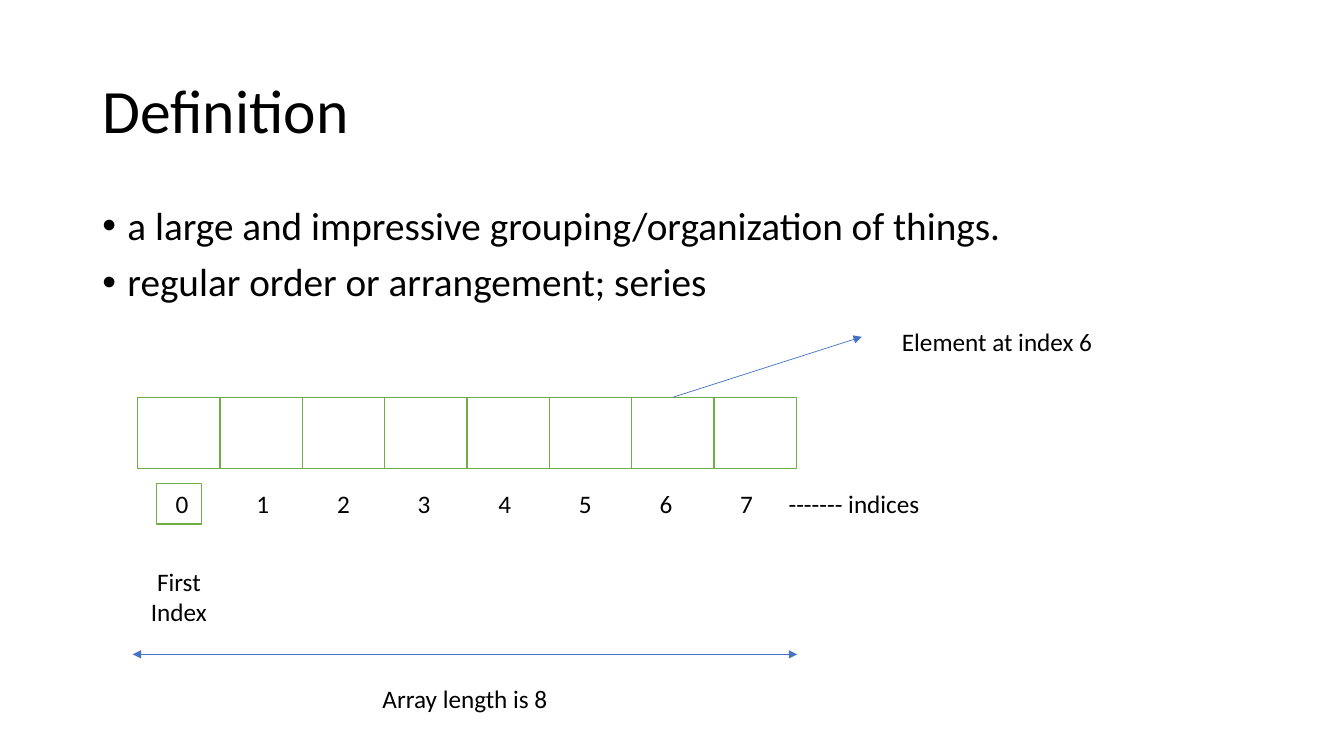
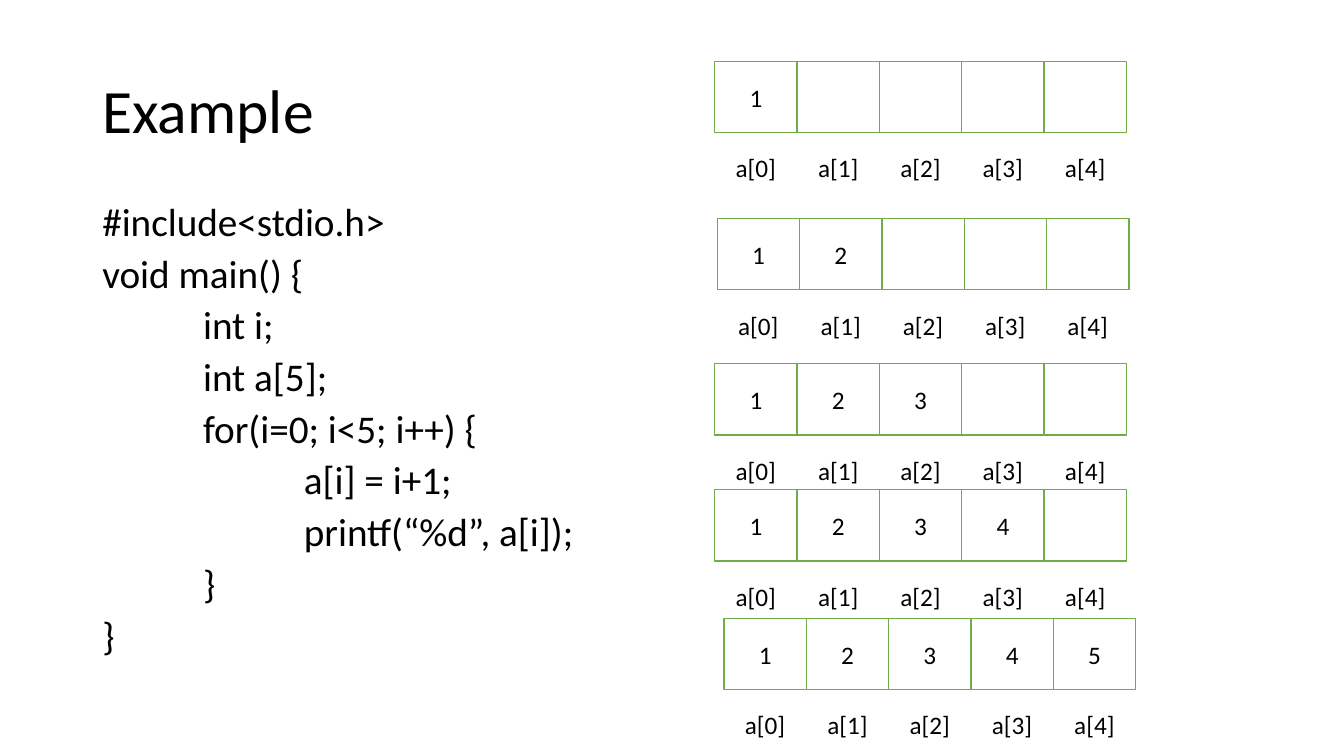
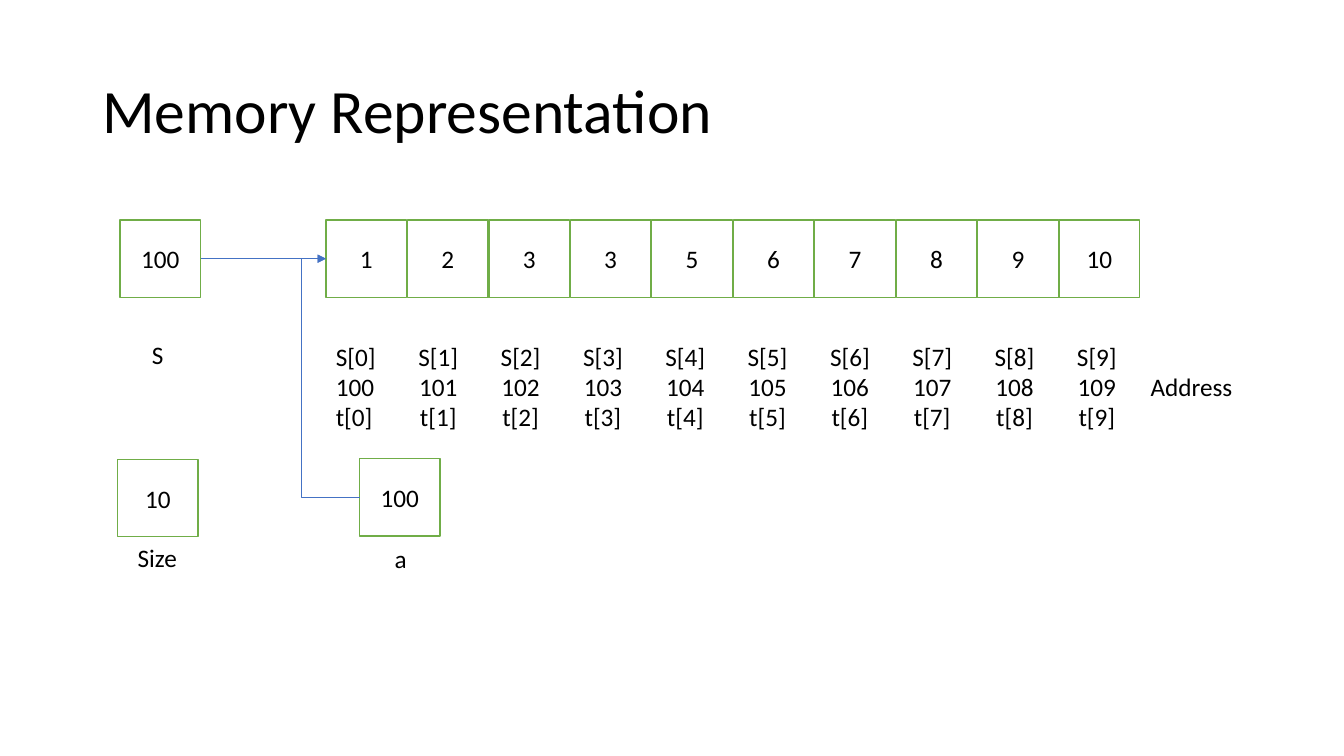
from dataclasses import dataclass

from lxml.etree import SubElement
from pptx import Presentation
from pptx.dml.color import RGBColor as Color
from pptx.enum.shapes import MSO_CONNECTOR as Connector, MSO_SHAPE as Preset
from pptx.enum.text import MSO_ANCHOR as Anchor, MSO_AUTO_SIZE as AutoSize, PP_ALIGN as Align
from pptx.oxml.ns import qn
from pptx.util import Inches, Pt


@dataclass(frozen=True)
class Theme:
    """Colours, type sizes and line widths shared by all slides."""
    font: str = "Calibri"
    ink: Color = Color(0x00, 0x00, 0x00)
    paper: Color = Color(0xFF, 0xFF, 0xFF)
    border: Color = Color(0x70, 0xAD, 0x47)
    arrow: Color = Color(0x44, 0x72, 0xC4)
    title: int = 44
    body: int = 28
    label: int = 18
    border_width: float = 1
    arrow_width: float = 0.5


THEME = Theme()
COLUMNS, ROWS = 16, 9
UNIT = Inches(7.5) / ROWS
LINE = 0.48
CELL = (0.98, 0.85)
MEMORY_CELL = (0.96, 0.92)
TITLE_AREA = (1.1, 0.48, 13.8, 1.74)
BODY_AREA = (1.1, 2.4, 13.8, 5.88)


def grid(*counts):
    """Turn counts of grid units into lengths."""
    return [round(count * UNIT) for count in counts]


def style(paragraph, size, align=None):
    """Set the font and alignment of a paragraph."""
    paragraph.alignment = align
    font = paragraph.font
    font.name, font.size, font.color.rgb = THEME.font, Pt(size), THEME.ink


def add_bullet(paragraph):
    """Give a paragraph a hanging bullet."""
    properties = paragraph._p.get_or_add_pPr()
    properties.set("marL", str(Inches(0.25)))
    properties.set("indent", str(-Inches(0.25)))
    SubElement(properties, qn("a:buFont"), typeface="Arial")
    SubElement(properties, qn("a:buChar"), char="•")


def add_tabs(paragraph, stops):
    """Give a paragraph tab stops, as pairs of grid position and alignment."""
    tabs = SubElement(paragraph._p.get_or_add_pPr(), qn("a:tabLst"))
    for position, align in stops:
        SubElement(tabs, qn("a:tab"), pos=str(grid(position)[0]), algn=align)


def centre_stops(first, pitch, count):
    """Return evenly spaced centred tab stops."""
    return [(first + pitch * index, "ctr") for index in range(count)]


def add_text(page, area, lines, size=THEME.label, align=None, anchor=Anchor.TOP,
             spacing=None, before=0, bullets=False, stops=(), wrap=True):
    """Add a text box with one paragraph a line."""
    box = page.shapes.add_textbox(*grid(*area))
    frame = box.text_frame
    frame.auto_size = AutoSize.NONE
    frame.word_wrap, frame.vertical_anchor = wrap, anchor
    for index, line in enumerate(lines):
        paragraph = frame.paragraphs[0] if index == 0 else frame.add_paragraph()
        paragraph.text = line
        if bullets:
            add_bullet(paragraph)
        if stops:
            add_tabs(paragraph, stops)
        if spacing:
            paragraph.line_spacing = spacing
        if index and before:
            paragraph.space_before = Pt(before)
        style(paragraph, size, align)


def add_cell(page, left, top, size, text=""):
    """Add an outlined memory cell."""
    cell = page.shapes.add_shape(Preset.RECTANGLE, *grid(left, top, *size))
    cell.shadow.inherit = False
    cell.fill.solid()
    cell.fill.fore_color.rgb = THEME.paper
    cell.line.color.rgb, cell.line.width = THEME.border, Pt(THEME.border_width)
    if text:
        frame = cell.text_frame
        frame.vertical_anchor = Anchor.MIDDLE
        frame.text = text
        style(frame.paragraphs[0], THEME.label, Align.CENTER)
    return cell


def add_cells(page, left, top, size, pitch, texts):
    """Add a row of cells at an equal pitch."""
    return [add_cell(page, left + pitch * index, top, size, text)
            for index, text in enumerate(texts)]


def add_arrow(page, start, end, kind=Connector.STRAIGHT, both=False):
    """Add a connector with an arrowhead at its end, or at both ends."""
    arrow = page.shapes.add_connector(kind, *grid(*start, *end))
    arrow.line.color.rgb, arrow.line.width = THEME.arrow, Pt(THEME.arrow_width)
    line = arrow.line._get_or_add_ln()
    if both:
        SubElement(line, qn("a:headEnd"), type="triangle")
    SubElement(line, qn("a:tailEnd"), type="triangle")
    SubElement(arrow._element.spPr, qn("a:effectLst"))
    return arrow


def set_bend(arrow, share):
    """Place the bend of an elbow connector at a share of its width."""
    geometry = arrow._element.spPr.find(qn("a:prstGeom"))
    guides = geometry.find(qn("a:avLst"))
    if guides is None:
        guides = SubElement(geometry, qn("a:avLst"))
    SubElement(guides, qn("a:gd"), name="adj1", fmla=f"val {round(share * 100000)}")


def add_page(deck, title):
    """Add a blank slide with a title."""
    page = deck.slides.add_slide(deck.slide_layouts[6])
    add_text(page, TITLE_AREA, [title], THEME.title, anchor=Anchor.MIDDLE, spacing=0.9)
    return page


def build_definition(deck):
    """Build the slide that defines an array."""
    page = add_page(deck, "Definition")
    add_text(page, BODY_AREA,
             ["a large and impressive grouping/organization of things.",
              "regular order or arrangement; series"],
             THEME.body, spacing=0.9, before=10, bullets=True)
    count, left = 8, 1.64
    cells = add_cells(page, left, 4.73, CELL, CELL[0], [""] * count)
    add_cell(page, 1.86, 5.76, (0.54, LINE))
    indices = "".join(f"\t{index}" for index in range(count))
    add_text(page, (left, 5.76, 10.52, LINE), [indices + "\t------- indices"],
             stops=centre_stops(0.41, 0.96, count) + [(7.63, "l")])
    add_text(page, (1.58, 6.68, 1.1, 0.85), ["First Index"], align=Align.CENTER)
    pointer = add_arrow(page, (8.03, 4.73), (10.26, 4.01))
    pointer.begin_connect(cells[6], 0)
    add_text(page, (10.26, 3.82, 3.22, LINE), ["Element at index 6"], align=Align.CENTER)
    add_arrow(page, (1.58, 7.79), (9.49, 7.79), both=True)
    add_text(page, (1.78, 8.08, 7.51, LINE), ["Array length is 8"], align=Align.CENTER)


def build_example(deck):
    """Build the slide that fills an array step by step."""
    page = add_page(deck, "Example")
    code = ["#include<stdio.h>", "void main() {", "\tint i;", "\tint a[5];",
            "\tfor(i=0; i<5; i++) {", "\t\ta[i] = i+1;", "\t\tprintf(“%d”, a[i]);",
            "\t}", "}"]
    add_text(page, BODY_AREA, code, THEME.body, spacing=0.8, before=10,
             stops=[(1.2, "l"), (2.4, "l")])
    count = 5
    labels = "".join(f"\ta[{index}]" for index in range(count))
    corners = [(8.51, 0.73), (8.54, 2.6), (8.51, 4.33), (8.51, 5.83), (8.62, 7.36)]
    for filled, (left, top) in enumerate(corners, 1):
        values = [str(value) if value <= filled else "" for value in range(1, count + 1)]
        add_cells(page, left, top, CELL, CELL[0], values)
        add_text(page, (left, top + 1.03, 4.92, LINE), [labels],
                 stops=centre_stops(0.37, CELL[0], count))


def build_memory(deck):
    """Build the slide that shows an array in memory."""
    page = add_page(deck, "Memory Representation")
    left, top, count = 3.88, 2.62, 10
    cells = add_cells(page, left, top, MEMORY_CELL, 0.97,
                      ["1", "2", "3", "3", "5", "6", "7", "8", "9", "10"])
    start = add_cell(page, 1.43, top, MEMORY_CELL, "100")
    add_cell(page, 1.4, 5.47, MEMORY_CELL, "10")
    alias = add_cell(page, 4.28, 5.46, MEMORY_CELL, "100")
    add_text(page, (1.69, 3.98, 0.38, LINE), ["S"], wrap=False)
    add_text(page, (1.52, 6.4, 0.72, LINE), ["Size"])
    add_text(page, (4.58, 6.41, 0.4, LINE), ["a"])
    rows = ["\t".join(pattern.format(index) for index in range(count))
            for pattern in ("S[{}]", "10{}", "t[{}]")]
    rows[1] += "\tAddress"
    add_text(page, (left, 4, 11.21, 1.21), rows,
             stops=centre_stops(1.22, 0.98, count - 1) + [(9.7, "l")])
    pointer = add_arrow(page, (2.39, 3.08), (left, 3.08))
    pointer.begin_connect(start, 3)
    pointer.end_connect(cells[0], 1)
    elbow = add_arrow(page, (4.28, 5.92), (left, 3.08), Connector.ELBOW)
    elbow.begin_connect(alias, 1)
    elbow.end_connect(cells[0], 1)
    set_bend(elbow, 1.74)


def main():
    """Build and save the deck."""
    deck = Presentation()
    deck.slide_width, deck.slide_height = grid(COLUMNS, ROWS)
    build_definition(deck)
    build_example(deck)
    build_memory(deck)
    deck.save("out.pptx")


if __name__ == "__main__":
    main()
